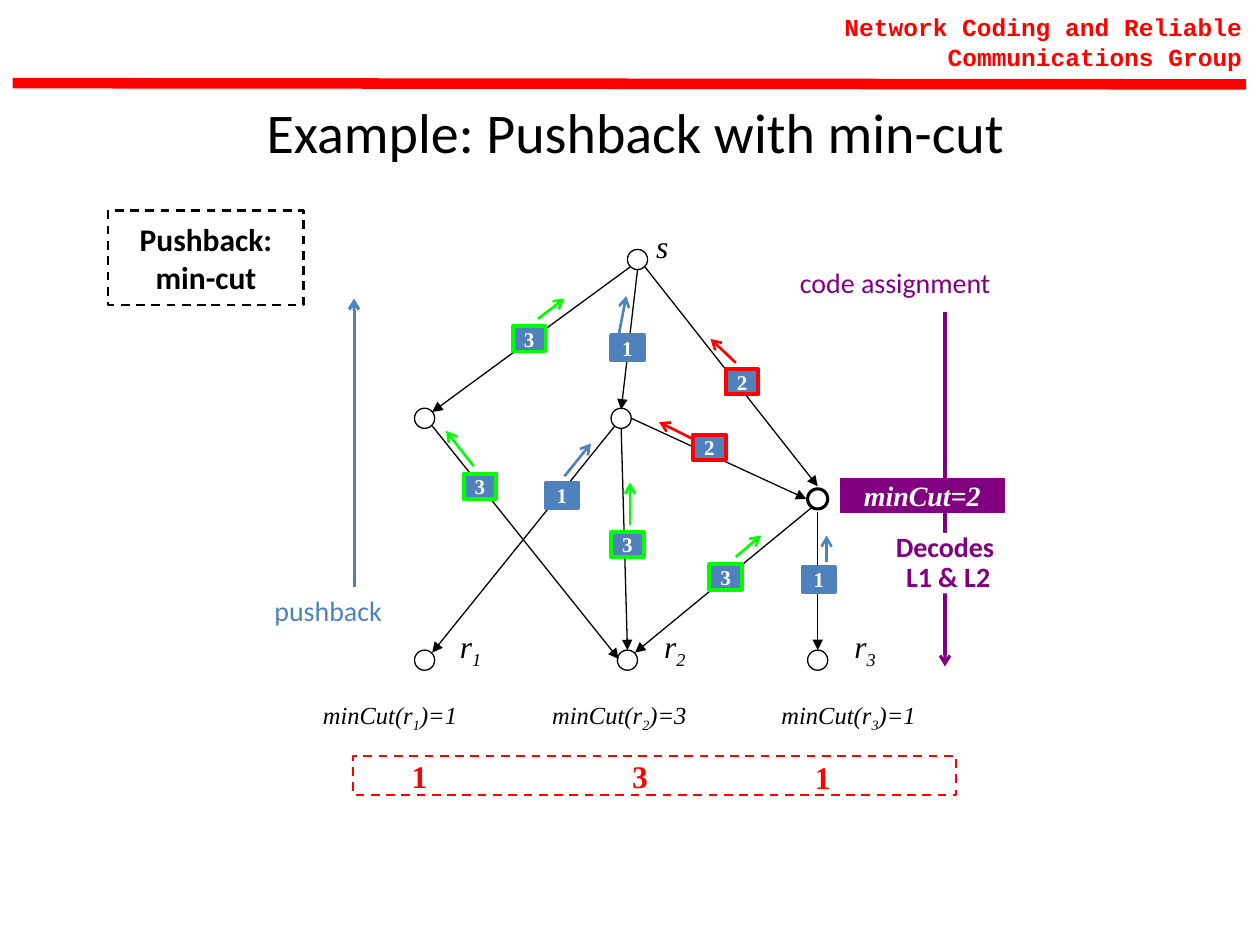
from dataclasses import dataclass

from pptx import Presentation
from pptx.dml.color import RGBColor
from pptx.enum.dml import MSO_LINE
from pptx.enum.shapes import MSO_CONNECTOR, MSO_SHAPE
from pptx.enum.text import MSO_ANCHOR, PP_ALIGN
from pptx.oxml.ns import qn
from pptx.util import Inches, Pt
from lxml.etree import SubElement


@dataclass(frozen=True)
class Theme:
    black: str = "000000"
    white: str = "FFFFFF"
    red: str = "FF0000"
    green: str = "00FF00"
    blue: str = "4F81BD"
    purple: str = "800080"
    sans: str = "Calibri"
    serif: str = "Times New Roman"
    mono: str = "Courier New"
    title: int = 32
    large: int = 18
    label: int = 16
    small: int = 14
    tag: int = 12


T = Theme()
deck = Presentation()
deck.slide_width, deck.slide_height = Inches(10), Inches(7.5)
slide = deck.slides.add_slide(deck.slide_layouts[5])
LEFT, MID, RIGHT = PP_ALIGN.LEFT, PP_ALIGN.CENTER, PP_ALIGN.RIGHT


def box(area, text="", size=T.large, font=T.serif, color=T.black, bold=False,
        italic=False, align=MID, pad=False, top=False, fill=None, edge=None,
        weight=0.75, dash=False, wrap=True, kind=MSO_SHAPE.RECTANGLE):
    """Add a shape or text box; text between underscores is subscript."""
    place = [Inches(v) for v in area]
    if fill or edge:
        shape = slide.shapes.add_shape(kind, *place)
        shape.shadow.inherit = False
        if fill:
            shape.fill.solid()
            shape.fill.fore_color.rgb = RGBColor.from_string(fill)
        else:
            shape.fill.background()
        if edge:
            shape.line.color.rgb = RGBColor.from_string(edge)
            shape.line.width = Pt(weight)
            if dash:
                shape.line.dash_style = MSO_LINE.DASH
        else:
            shape.line.fill.background()
    else:
        shape = slide.shapes.add_textbox(*place)
    if not text:
        return
    frame = shape.text_frame
    frame.text = text
    frame.word_wrap = wrap
    frame.vertical_anchor = MSO_ANCHOR.TOP if top else MSO_ANCHOR.MIDDLE
    frame.margin_left = frame.margin_right = Inches(0.1 if pad else 0)
    frame.margin_top = frame.margin_bottom = Inches(0.05 if pad else 0)
    for para in frame.paragraphs:
        para.alignment = align
        parts = para.text.split("_")
        para.text = parts[0]
        for part in parts[1:]:
            para.add_run().text = part
        for i, run in enumerate(para.runs):
            face = run.font
            face.name, face.size = font, Pt(size)
            face.bold, face.italic = bold, italic
            face.color.rgb = RGBColor.from_string(color)
            if i % 2:
                run._r.get_or_add_rPr().set("baseline", "-25000")
    return shape


def line(ends, color, weight, tip=None):
    link = slide.shapes.add_connector(
        MSO_CONNECTOR.STRAIGHT, *[Inches(v) for v in ends])
    link.line.color.rgb = RGBColor.from_string(color)
    link.line.width = Pt(weight)
    if tip:
        SubElement(link.line._get_or_add_ln(), qn("a:tailEnd"), type=tip)
    SubElement(link._element.spPr, qn("a:effectLst"))


# Header
box((5.88, 0.05, 4.08, 0.57),
    "Network Coding and Reliable Communications Group", T.small, T.mono,
    T.red, bold=True, align=RIGHT, pad=True, top=True)
line((0.1, 0.66, 9.89, 0.67), T.red, 6)

# Title
title = slide.shapes.title
title.left, title.top = Inches(0.17), Inches(0.75)
title.width, title.height = Inches(9.75), Inches(0.58)
title.text_frame.text = "Example: Pushback with min-cut"
title.text_frame.vertical_anchor = MSO_ANCHOR.MIDDLE
para = title.text_frame.paragraphs[0]
para.alignment = MID
para.font.name, para.font.size = T.sans, Pt(T.title)
para.font.color.rgb = RGBColor.from_string(T.black)

# Method box
box((0.86, 1.67, 1.55, 0.75), "Pushback:\nmin-cut", font=T.sans, bold=True,
    pad=True, edge=T.black, weight=1.25, dash=True, wrap=False)

# Result row
box((2.8, 6, 4.79, 0.31), edge=T.red, weight=1.25, dash=True)
for mid, y, count in ((3.33, 6.01, "1"), (5.08, 6.01, "3"), (6.53, 6.02, "1")):
    box((mid - 0.5, y, 1, 0.3), count, color=T.red, bold=True)

# Code assignment and pushback directions
line((7.5, 2.48, 7.5, 5.29), T.purple, 1.75, "arrow")
line((2.81, 4.66, 2.81, 2.37), T.blue, 1.75, "arrow")
box((6.67, 3.8, 1.3, 0.27), "minCut=2", T.label, color=T.white, bold=True,
    italic=True, fill=T.purple, edge=T.purple)
note = box((6.94, 4.23, 1.17, 0.48), "Decodes \nL1 & L2", T.label, T.sans,
           T.purple, bold=True, fill=T.white)
for para in note.text_frame.paragraphs:
    para.line_spacing = 0.9
for area, text, color in (
        ((2.08, 4.66, 1.46, 0.37), "pushback", T.blue),
        ((6.25, 2.06, 2.08, 0.37), "code assignment", T.purple)):
    box(area, text, T.label, T.sans, color, align=LEFT, pad=True, top=True)

# Nodes, by centre; the heavy one is the decoding node
for x, y, weight in (
        (5.06, 2.06, 0.75), (3.37, 3.32, 0.75), (4.93, 3.32, 0.75),
        (6.49, 3.96, 1.75), (3.37, 5.24, 0.75), (4.98, 5.24, 0.75),
        (6.49, 5.24, 0.75)):
    box((x - 0.08, y - 0.08, 0.16, 0.16), edge=T.black, weight=weight,
        kind=MSO_SHAPE.OVAL)

# Node names and min-cut values
box((5.11, 1.75, 0.39, 0.4), "s", italic=True, align=LEFT, pad=True, top=True)
for i, (x, cut) in enumerate(((3.54, 1), (5.16, 3), (6.67, 1))):
    box((x, 4.98, 0.39, 0.34), f"r_{i + 1}", italic=True)
    box((2.12 + 1.82 * i, 5.55, 1.95, 0.27), f"minCut(r_{i + 1}_)={cut}",
        T.small, italic=True)

# Graph edges
for ends in (
        (5, 2.12, 3.43, 3.27), (5.06, 2.14, 4.93, 3.25),
        (5.12, 2.12, 6.49, 3.86), (4.93, 3.4, 4.98, 5.16),
        (3.43, 3.38, 4.91, 5.23), (4.88, 3.38, 3.43, 5.18),
        (5.01, 3.32, 6.4, 3.96), (6.44, 4.03, 5.04, 5.18),
        (6.49, 4.06, 6.49, 5.16)):
    line(ends, T.black, 0.75, "triangle")

# Edge tags with their pushback arrows
hue = {"1": T.blue, "2": T.red, "3": T.green}
for tag, x, y, ends in (
        ("3", 4.85, 4.22, (5, 4.17, 5, 3.83)),
        ("3", 3.68, 3.76, (3.76, 3.7, 3.54, 3.42)),
        ("3", 4.07, 2.59, (4.27, 2.53, 4.48, 2.37)),
        ("3", 5.63, 4.48, (5.84, 4.42, 6.04, 4.25)),
        ("1", 6.37, 4.5, (6.56, 4.46, 6.56, 4.25)),
        ("1", 4.85, 2.66, (4.87, 2.87, 4.97, 2.35)),
        ("1", 4.33, 3.83, (4.48, 3.78, 4.69, 3.52)),
        ("2", 5.76, 2.93, (5.84, 2.88, 5.64, 2.69)),
        ("2", 5.5, 3.45, (5.51, 3.49, 5.23, 3.35))):
    box((x, y, 0.26, 0.2), tag, T.tag, color=T.white, bold=True,
        fill=T.blue, edge=hue[tag], weight=2.25)
    line(ends, hue[tag], 1.5, "arrow")

deck.save("out.pptx")
